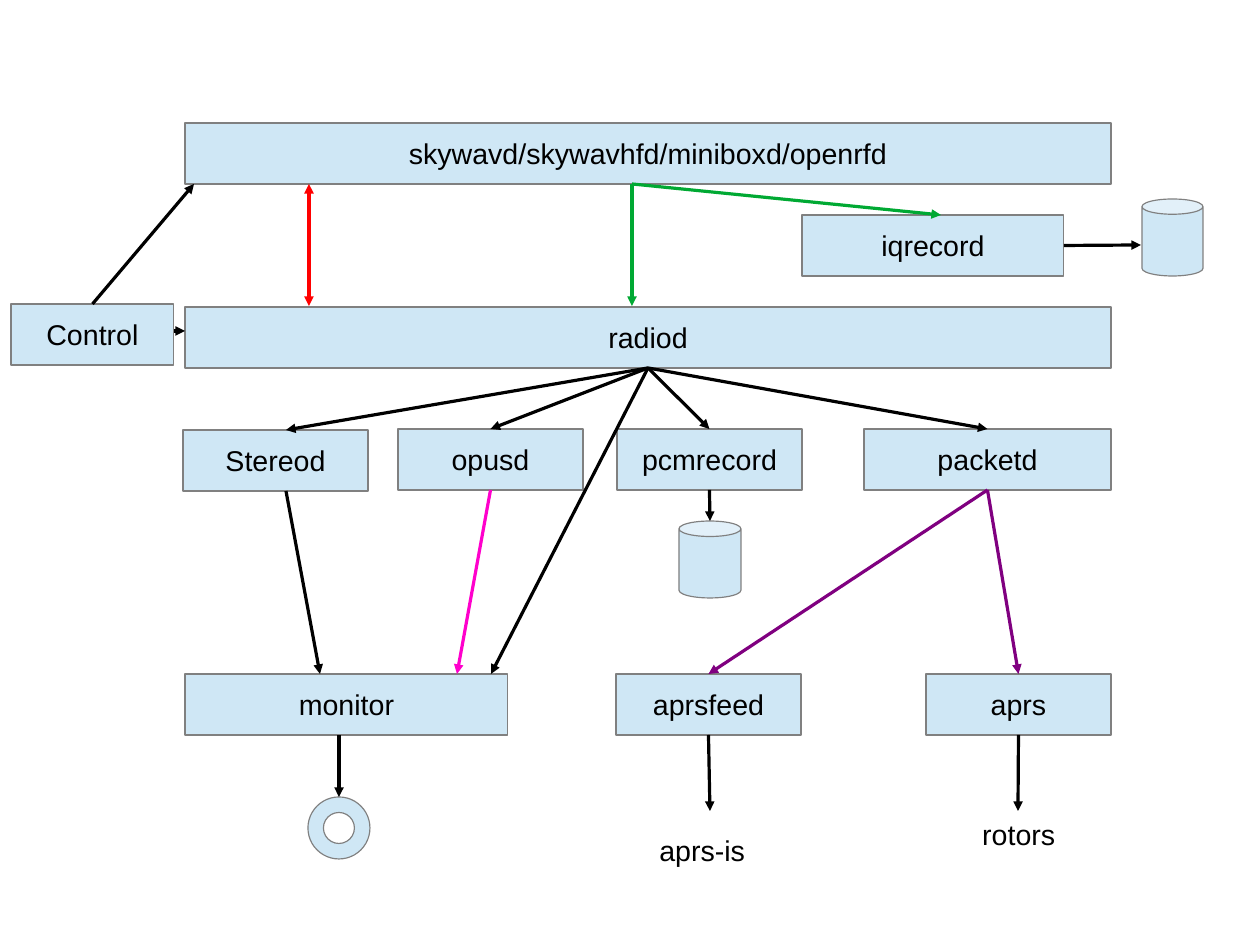
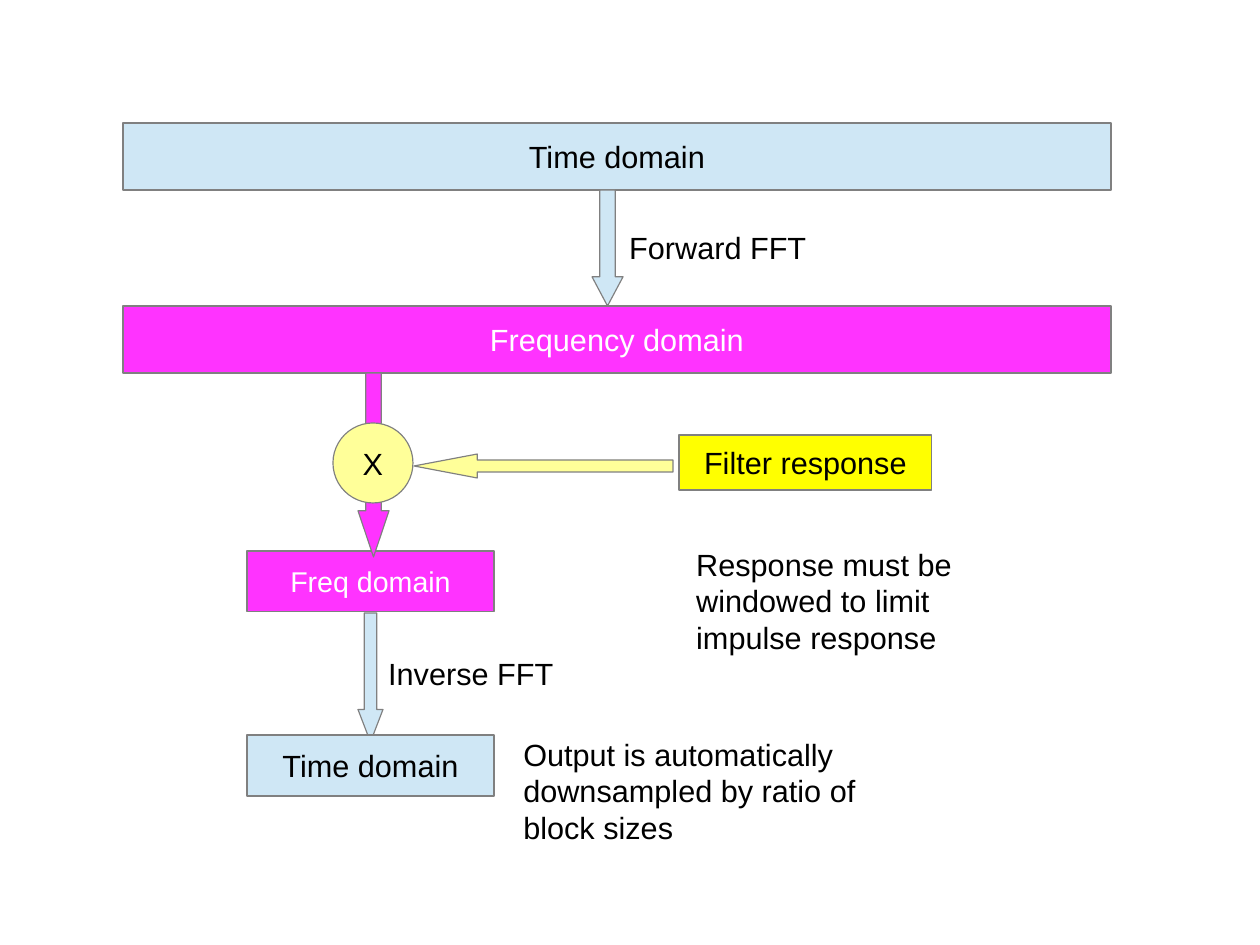
from dataclasses import dataclass

from lxml.etree import SubElement
from pptx import Presentation
from pptx.dml.color import RGBColor
from pptx.enum.shapes import MSO_CONNECTOR, MSO_SHAPE
from pptx.enum.text import MSO_ANCHOR, PP_ALIGN
from pptx.oxml.ns import qn
from pptx.util import Pt

PX = 8000  # EMU in one px
TOP, LEFT, BOTTOM, RIGHT = range(4)


@dataclass(frozen=True)
class Theme:
    font: str = "Arial"
    body: float = 18
    large: float = 19.3
    black: str = "000000"
    white: str = "FFFFFF"
    outline: str = "808080"
    sky: str = "CFE7F5"
    magenta: str = "FF33FF"
    yellow: str = "FFFF00"
    cream: str = "FFFF99"
    red: str = "FF0000"
    green: str = "00A933"
    pink: str = "FF00CC"
    purple: str = "800080"


THEME = Theme()
SHAPE_FRAME = {"word_wrap": True, "vertical_anchor": MSO_ANCHOR.MIDDLE}
NOTE_FRAME = {"word_wrap": True, "vertical_anchor": MSO_ANCHOR.TOP}


@dataclass(frozen=True)
class Area:
    """A region of a slide; its parts are placed from its top left corner."""
    slide: object
    x: int
    y: int
    w: int
    h: int

    def emu(self, x, y, w, h):
        return [n * PX for n in (self.x + x, self.y + y, w, h)]


# Shared parts
def apply(target, values):
    for key, value in values.items():
        setattr(target, key, value)


def write(frame, text, layout, align, size, color):
    apply(frame, layout)
    paragraph = frame.paragraphs[0]
    paragraph.alignment = align
    run = paragraph.add_run()
    run.text = text
    apply(run.font, {"name": THEME.font, "size": Pt(size)})
    run.font.color.rgb = RGBColor.from_string(color)


def block(area, box, text="", kind=MSO_SHAPE.RECTANGLE, fill=THEME.sky,
          size=THEME.body, color=THEME.black, adjust=()):
    shape = area.slide.shapes.add_shape(kind, *area.emu(*box))
    shape.shadow.inherit = False
    shape.fill.solid()
    shape.fill.fore_color.rgb = RGBColor.from_string(fill)
    shape.line.color.rgb = RGBColor.from_string(THEME.outline)
    shape.line.width = 0
    for index, value in enumerate(adjust):
        shape.adjustments[index] = value
    if text:
        write(shape.text_frame, text, SHAPE_FRAME, PP_ALIGN.CENTER, size, color)
    return shape


def note(area, box, text, size=THEME.large):
    label = area.slide.shapes.add_textbox(*area.emu(*box))
    write(label.text_frame, text, NOTE_FRAME, PP_ALIGN.LEFT, size, THEME.black)


def blocks(area, boxes):
    return {text: block(area, box, text) for text, box in boxes.items()}


def arrow(slide, nodes, start, end, color=THEME.black, both_ends=False):
    """Each end is a point in px or a (node name, side) pair."""
    joined = [isinstance(point[0], str) for point in (start, end)]
    points = [(0, 0) if join else point
              for join, point in zip(joined, (start, end))]
    line = slide.shapes.add_connector(
        MSO_CONNECTOR.STRAIGHT, *[n * PX for point in points for n in point])
    if joined[0]:
        line.begin_connect(nodes[start[0]], start[1])
    if joined[1]:
        line.end_connect(nodes[end[0]], end[1])
    line.line.color.rgb = RGBColor.from_string(color)
    line.line.width = 0
    outline = line.line._get_or_add_ln()
    for tag in ("a:headEnd", "a:tailEnd") if both_ends else ("a:tailEnd",):
        SubElement(outline, qn(tag), type="triangle")
    SubElement(line._element.spPr, qn("a:effectLst"))


# Slide 1: signal flow between programs
def receiver_region(area):
    block(area, (1131, 76, 61, 77), kind=MSO_SHAPE.CAN, adjust=[0.25])
    return blocks(area, {
        "skywavd/skywavhfd/miniboxd/openrfd": (174, 0, area.w - 266, 61),
        "iqrecord": (791, 92, 262, 61),
        "Control": (0, 181, 163, 61),
        "radiod": (174, 184, area.w - 266, 61),
    })


def decoder_region(area):
    block(area, (496, 92, 62, 77), kind=MSO_SHAPE.CAN, adjust=[0.25])
    return blocks(area, {
        "Stereod": (0, 1, 185, 61),
        "opusd": (215, 0, 185, 61),
        "pcmrecord": (434, 0, 185, 61),
        "packetd": (681, 0, 247, 61),
    })


def output_region(area):
    block(area, (123, 123, 62, 62), kind=MSO_SHAPE.DONUT, adjust=[0.25])
    note(area, (463, 153, 123, 61), "aprs-is", THEME.body)
    note(area, (786, 137, 134, 77), "rotors", THEME.body)
    return blocks(area, {
        "monitor": (0, 0, 323, 61),
        "aprsfeed": (431, 0, 185, 61),
        "aprs": (741, 0, 185, 61),
    })


def program_slide(slide):
    nodes = {
        **receiver_region(Area(slide, 11, 123, 1192, 245)),
        **decoder_region(Area(slide, 183, 429, 928, 169)),
        **output_region(Area(slide, 185, 674, 926, 214)),
    }
    hub = ("radiod", BOTTOM)
    packets = ("packetd", BOTTOM)
    flows = [
        # Receiver and control
        ((309, 184), (309, 306), THEME.red, True),
        ((632, 184), (632, 306), THEME.green),
        ((632, 184), (941, 215), THEME.green),
        (("iqrecord", RIGHT), (1141, 245)),
        (("Control", TOP), (194, 184)),
        ((174, 331), (185, 331)),
        # Receiver to decoders
        (hub, (286, 430)),
        (hub, ("opusd", TOP)),
        (hub, (491, 674)),
        (hub, ("pcmrecord", TOP)),
        (hub, ("packetd", TOP)),
        # Decoders to outputs
        ((286, 491), (320, 674)),
        (("opusd", BOTTOM), (457, 674), THEME.pink),
        (("pcmrecord", BOTTOM), (710, 521)),
        (packets, ("aprsfeed", TOP), THEME.purple),
        (packets, ("aprs", TOP), THEME.purple),
        # Outputs to their sinks
        ((339, 735), (339, 797)),
        (("aprsfeed", BOTTOM), (710, 811)),
        (("aprs", BOTTOM), (1018, 811)),
    ]
    for flow in flows:
        arrow(slide, nodes, *flow)


# Slide 2: fast convolution
def forward_region(area):
    block(area, (0, 0, area.w, 67), "Time domain", size=THEME.large)
    block(area, (469, 67, 31, 116), kind=MSO_SHAPE.DOWN_ARROW,
          adjust=[0.5, 0.94])
    block(area, (0, 183, area.w, 67), "Frequency domain", fill=THEME.magenta,
          size=THEME.large, color=THEME.white)
    note(area, (495, 100, 202, 47), "Forward FFT")


def inverse_region(area):
    block(area, (0, 178, area.w, 61), "Freq domain", fill=THEME.magenta,
          color=THEME.white)
    block(area, (111, 240, 25, 129), kind=MSO_SHAPE.DOWN_ARROW,
          adjust=[0.5, 1.3])
    note(area, (130, 276, 191, 47), "Inverse FFT")
    block(area, (111, 0, 31, 184), kind=MSO_SHAPE.DOWN_ARROW,
          fill=THEME.magenta, adjust=[0.5, 1.49])
    block(area, (0, 362, area.w, 61), "Time domain", size=THEME.large)
    note(area, (265, 357, 401, 115),
         "Output is automatically downsampled by ratio of block sizes")


def filter_region(area):
    block(area, (346, 12, 253, 55), "Filter response", fill=THEME.yellow,
          size=THEME.large)
    block(area, (0, 0, 80, 80), "X", MSO_SHAPE.OVAL, THEME.cream, THEME.large)
    block(area, (81, 31, 259, 24), kind=MSO_SHAPE.LEFT_ARROW,
          fill=THEME.cream, adjust=[0.5, 2.64])
    note(area, (352, 117, 333, 115),
         "Response must be windowed to limit impulse response")


def convolution_slide(slide):
    forward_region(Area(slide, 123, 123, 988, 250))
    inverse_region(Area(slide, 247, 373, 247, 472))
    filter_region(Area(slide, 333, 423, 685, 232))


def main():
    deck = Presentation()
    apply(deck, {"slide_width": 1260 * PX, "slide_height": 945 * PX})
    blank = deck.slide_layouts[6]
    for build in (program_slide, convolution_slide):
        build(deck.slides.add_slide(blank))
    deck.save("out.pptx")


if __name__ == "__main__":
    main()
